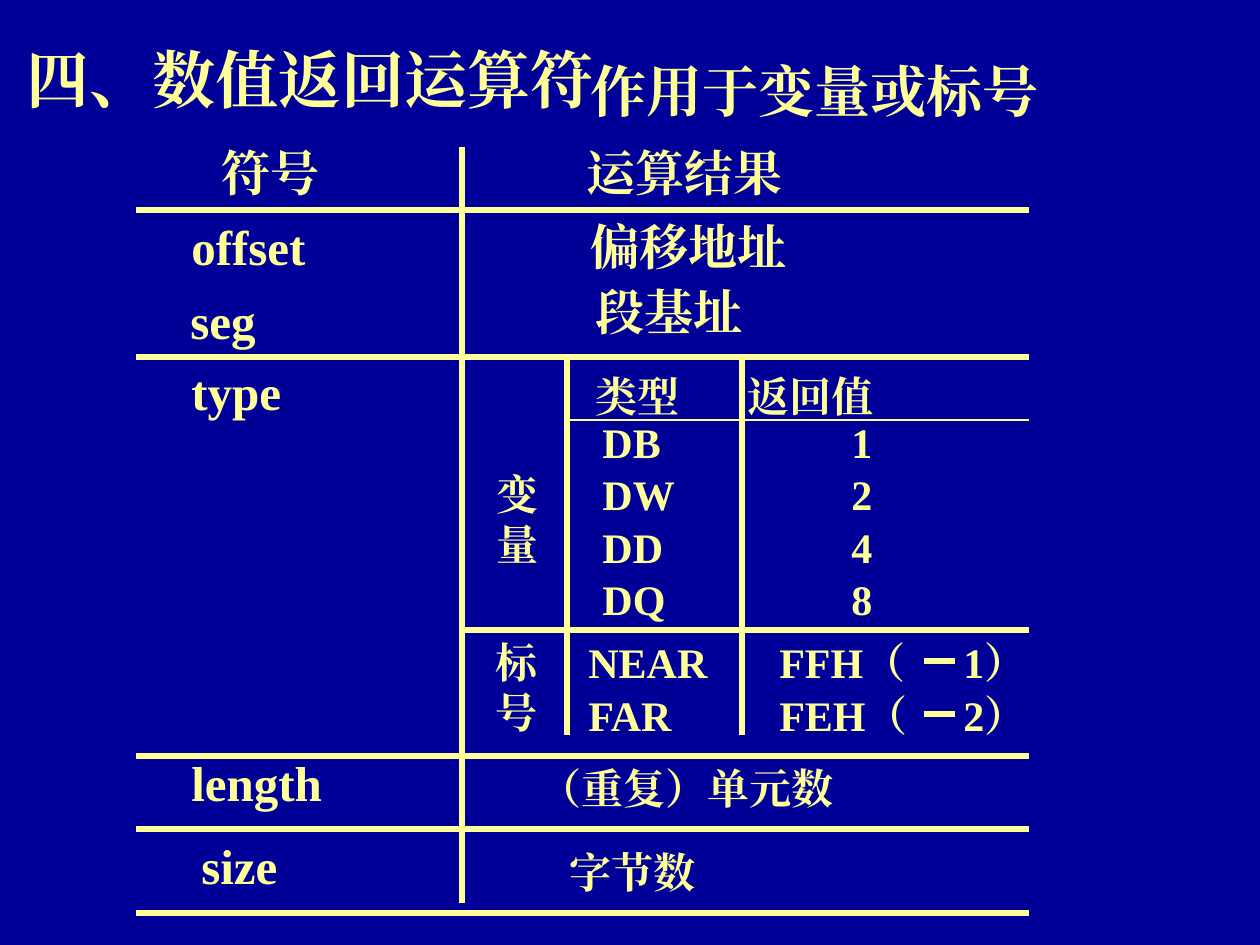
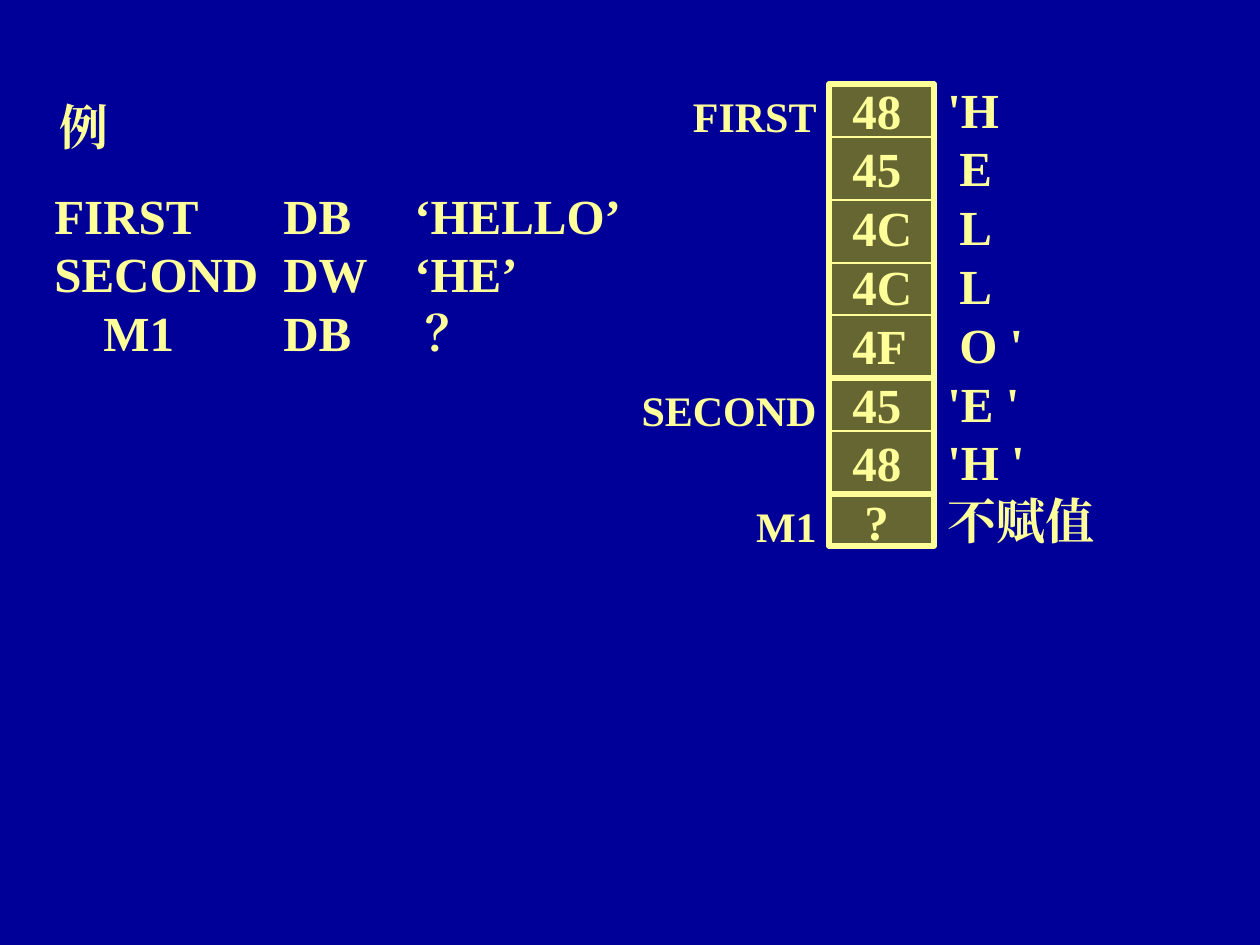
from lxml.etree import SubElement
from pptx import Presentation
from pptx.dml.color import RGBColor
from pptx.enum.shapes import MSO_CONNECTOR, MSO_SHAPE
from pptx.enum.text import MSO_ANCHOR as Anchor, PP_ALIGN as Align
from pptx.oxml.ns import qn
from pptx.util import Pt

NAVY = RGBColor(0x00, 0x00, 0x99)
CREAM = RGBColor(0xFF, 0xFF, 0x99)
OLIVE = RGBColor(0x66, 0x66, 0x33)
FONT = "Times New Roman"
LINE_HEIGHT = 1.2
EMU_PER_PX = 914400 / 126
BLANK_LAYOUT = 6
THICK, MEDIUM, THIN = 3, 1.5, 0.75


def emu(px):
    return round(px * EMU_PER_PX)


class Deck:
    def __init__(self, width, height):
        self.prs = Presentation()
        self.prs.slide_width = emu(width)
        self.prs.slide_height = emu(height)
        self.slide = None

    def new_slide(self):
        self.slide = self.prs.slides.add_slide(self.prs.slide_layouts[BLANK_LAYOUT])
        fill = self.slide.background.fill
        fill.solid()
        fill.fore_color.rgb = NAVY

    def text(self, x, y, width, lines, size, align=Align.LEFT, stops=(), height=None):
        """Add bold text, one paragraph per line; stops are tab positions in px.

        A box given a height centres its text vertically."""
        line_px = size * LINE_HEIGHT * 1.75
        box = self.slide.shapes.add_textbox(
            emu(x), emu(y), emu(width), emu(height or line_px * len(lines) + 13))
        frame = box.text_frame
        frame.word_wrap = True
        frame.vertical_anchor = Anchor.MIDDLE if height else Anchor.TOP
        frame.text = "\n".join(lines)
        for paragraph in frame.paragraphs:
            self.add_tabs(paragraph, stops)
            paragraph.alignment = align
            paragraph.line_spacing = Pt(round(size * LINE_HEIGHT, 1))
            for run in paragraph.runs:
                run.font.size = Pt(size)
                run.font.bold = True
                run.font.color.rgb = CREAM
                run.font.name = FONT
                SubElement(run.font._element, qn("a:ea"), typeface=FONT)

    @staticmethod
    def add_tabs(paragraph, stops):
        if stops:
            tabs = SubElement(paragraph._p.get_or_add_pPr(), qn("a:tabLst"))
            for stop in stops:
                SubElement(tabs, qn("a:tab"), pos=str(emu(stop)), algn="l")

    def title(self, x, y, width, height, wording, size):
        self.text(x, y, width, [wording], size, Align.CENTER, height=height)

    def rule(self, x1, y1, x2, y2, weight=THICK):
        line = self.slide.shapes.add_connector(
            MSO_CONNECTOR.STRAIGHT, emu(x1), emu(y1), emu(x2), emu(y2))
        line.line.color.rgb = CREAM
        line.line.width = Pt(weight)
        SubElement(line._element.spPr, qn("a:effectLst"))

    def panel(self, x, y, width, height):
        rect = self.slide.shapes.add_shape(
            MSO_SHAPE.RECTANGLE, emu(x), emu(y), emu(width), emu(height))
        rect.shadow.inherit = False
        rect.fill.solid()
        rect.fill.fore_color.rgb = OLIVE
        rect.line.color.rgb = CREAM
        rect.line.width = Pt(THICK)


def operator_slide(deck):
    deck.new_slide()
    left, symbol_edge, kind_edge, value_edge, right = 136, 462, 567, 742, 1029
    type_top, label_top, type_bottom = 357, 630, 735

    deck.title(0, 31, 620, 95, "四、数值返回运算符", 36)
    deck.text(578, 50, 627, ["作用于变量或标号"], 32)
    deck.text(209, 136, 600, ["符号\t运算结果"], 28, stops=[365])

    for x, y, operator in [(179, 210, "offset"), (178, 284, "seg"), (179, 355, "type"),
                           (179, 746, "length"), (189, 829, "size")]:
        deck.text(x, y, 200, [operator], 28)
    for x, y, result, size in [(578, 210, "偏移地址", 28), (583, 275, "段基址", 28),
                               (527, 756, "（重复）单元数", 24), (557, 840, "字节数", 24)]:
        deck.text(x, y, 400, [result], size)

    deck.text(583, 364, 400, ["类型\t返回值"], 24, stops=[152])
    for i, (directive, size_in_bytes) in enumerate(
            [("DB", 1), ("DW", 2), ("DD", 4), ("DQ", 8)]):
        deck.text(590, 410 + i * 105 // 2, 400, [f"{directive}\t{size_in_bytes}"], 24,
                  stops=[249])
    for y, distance in [(630, "NEAR\tFFH（\t1）"), (683, "FAR\tFEH（\t2）")]:
        deck.text(576, y, 500, [distance], 24, stops=[191, 375])
        deck.rule(924, y + 31, 955, y + 31)
    deck.text(484, 462, 67, ["变", "量"], 24)
    deck.text(483, 630, 67, ["标", "号"], 24)

    for y in (210, type_top, 756, 829, 913):
        deck.rule(left, y, right, y)
    deck.rule(symbol_edge, 147, symbol_edge, 903)
    deck.rule(symbol_edge, label_top, right, label_top)
    deck.rule(kind_edge, 420, right, 420, MEDIUM)
    for x in (kind_edge, value_edge):
        deck.rule(x, type_top, x, type_bottom)


def memory_slide(deck):
    deck.new_slide()
    cell_left, cell_width = 829, 105

    deck.title(0, 84, 168, 84, "例", 28)
    deck.text(42, 179, 630,
              ["FIRST\tDB\t‘HELLO’", "SECOND\tDW\t‘HE’", "\tM1\tDB\t\t？"], 28,
              stops=[49, 229, 360, 371])

    deck.panel(cell_left, 84, cell_width, 462)
    deck.text(840, 74, cell_width,
              ["48", "45", "4C", "4C", "4F", "45", "48", "\t?"], 28, stops=[12])
    variable_starts = {"FIRST": 84, "SECOND": 378, "M1": 494}
    for y in (137, 200, 263, 315, 378, 431, 494):
        weight = THICK if y in variable_starts.values() else THIN
        deck.rule(cell_left, y, cell_left + cell_width, y, weight)
    deck.text(935, 73, 199,
              ["'H", "\tE", "\tL", "\tL", "\tO '", "'E '", "'H '", "不赋值"], 28,
              stops=[12])
    for variable, y in variable_starts.items():
        deck.text(cell_left - 200, y, 200, [variable], 24, Align.RIGHT)


def main():
    deck = Deck(1260, 945)
    operator_slide(deck)
    memory_slide(deck)
    deck.prs.save("out.pptx")


if __name__ == "__main__":
    main()
